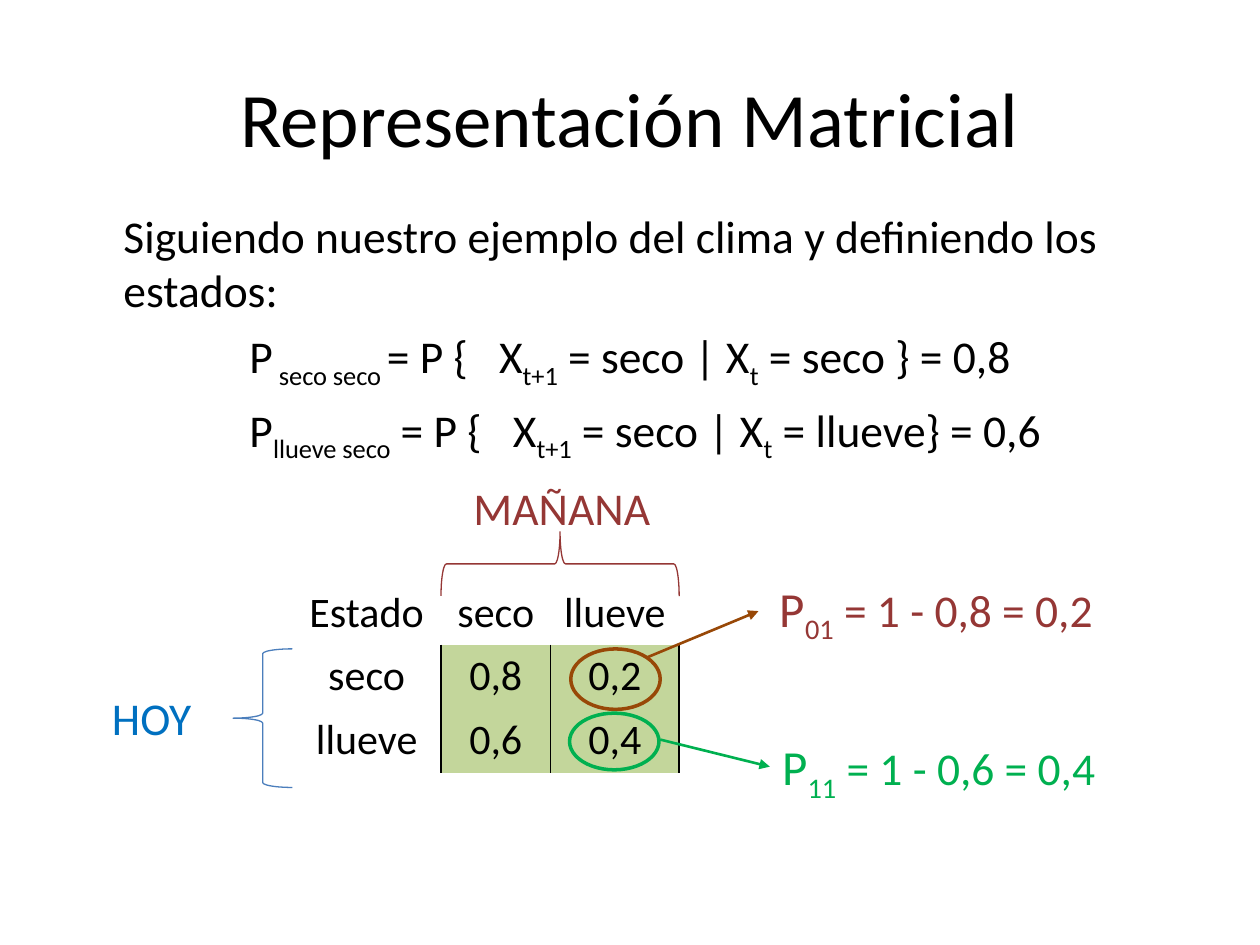
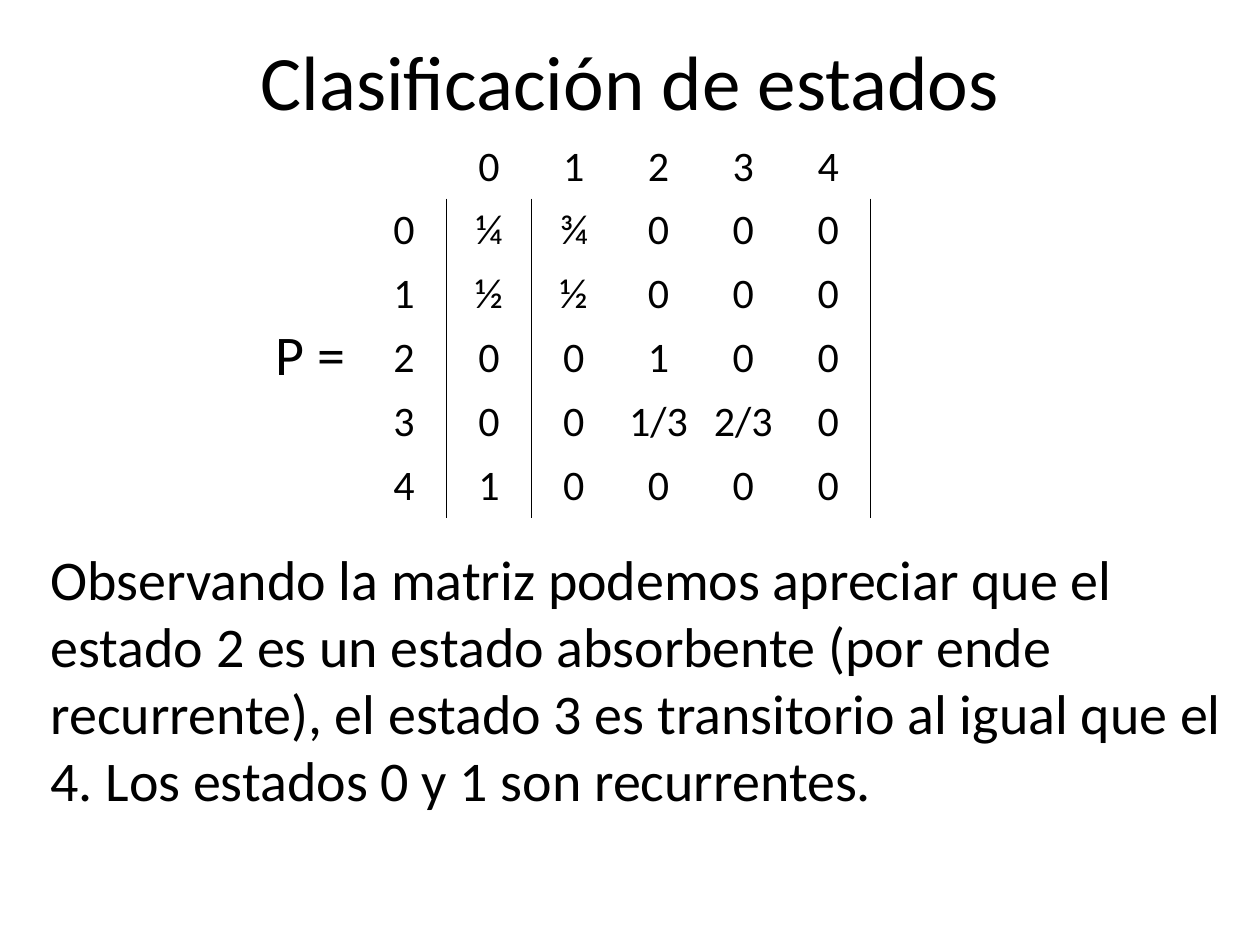
from dataclasses import dataclass

from lxml import etree
from pptx import Presentation
from pptx.dml.color import RGBColor
from pptx.enum.shapes import MSO_CONNECTOR, MSO_SHAPE
from pptx.enum.text import MSO_ANCHOR, MSO_AUTO_SIZE, PP_ALIGN
from pptx.oxml.ns import qn
from pptx.util import Pt

PX = 9144  # 100 px to the inch
STRAIGHT = MSO_CONNECTOR.STRAIGHT
ELLIPSE = MSO_SHAPE.OVAL
LEFT_BRACE = MSO_SHAPE.LEFT_BRACE
RIGHT_BRACE = MSO_SHAPE.RIGHT_BRACE
CENTER = PP_ALIGN.CENTER
MIDDLE = MSO_ANCHOR.MIDDLE
NO_AUTOFIT = MSO_AUTO_SIZE.NONE
LEFT_SIDE = 1
TITLE_AND_BODY = 1
PLAIN_TABLE = "{2D5ABB26-0587-4C30-8999-92F81FD0307C}"
WIDE_SPACE = " "  # a span of its own, widened by letter spacing


@dataclass(frozen=True)
class Theme:
    font: str = "Calibri"
    ink: str = "000000"
    today: str = "0070C0"
    today_brace: str = "4B7EBC"
    tomorrow: str = "953735"
    dry_to_rain: str = "984807"
    rain_to_rain: str = "00B050"
    matrix_fill: str = "C3D69B"
    title: int = 44
    large: int = 32
    symbol: int = 28
    text: int = 26
    cell: int = 24
    paragraph_gap: float = 6.4
    thin: float = 0.75
    border: float = 1
    arrow: float = 1.5
    ring: float = 2


THEME = Theme()


def px(*lengths):
    return [round(length * PX) for length in lengths]


def rgb(color):
    return RGBColor.from_string(color)


def style(span, size, color=THEME.ink):
    span.font.name = THEME.font
    span.font.size = Pt(size)
    span.font.color.rgb = rgb(color)


def write(para, spans, size, color=THEME.ink):
    """Add spans; each is a text or (text, size), and a leading "_" lowers it."""
    for item in spans:
        text, span_size = item if isinstance(item, tuple) else (item, size)
        span = para.add_run()
        span.text = text.removeprefix("_")
        style(span, span_size, color)
        if text.startswith("_"):
            span._r.get_or_add_rPr().set("baseline", "-25000")
        elif text == WIDE_SPACE:
            span._r.get_or_add_rPr().set("spc", "1180")


def place(shape, at):
    shape.left, shape.top, shape.width, shape.height = px(*at)


def add_page(deck, title, title_top, body_at):
    page = deck.slides.add_slide(deck.slide_layouts[TITLE_AND_BODY])
    heading, body = page.placeholders
    place(heading, (50, title_top, 900, 125))
    place(body, body_at)
    for box in (heading, body):
        frame = box.text_frame
        frame.auto_size = NO_AUTOFIT
        frame.word_wrap = True
        frame.margin_left = frame.margin_right = 10 * PX
        frame.margin_top = frame.margin_bottom = 10 * PX
    heading.text_frame.vertical_anchor = MIDDLE
    para = heading.text_frame.paragraphs[0]
    para.alignment = CENTER
    write(para, [title], THEME.title)
    return page, body.text_frame


def add_body_line(frame, spans, size, indent):
    first = not frame.text
    para = frame.paragraphs[0] if first else frame.add_paragraph()
    para.space_before = Pt(0 if first else THEME.paragraph_gap)
    props = para._p.get_or_add_pPr()
    props.set("marL", str(indent * PX))
    props.set("indent", "0")
    etree.SubElement(props, qn("a:buNone"))
    write(para, spans, size)


def add_label(page, at, spans, size, color=THEME.ink):
    box = page.shapes.add_textbox(*px(*at))
    box.text_frame.word_wrap = True
    write(box.text_frame.paragraphs[0], spans, size, color)
    return box


def add_outline(page, kind, at, color, width, rotation=0):
    shape = page.shapes.add_shape(kind, *px(*at))
    shape.shadow.inherit = False
    shape.fill.background()
    shape.line.color.rgb = rgb(color)
    shape.line.width = Pt(width)
    shape.rotation = rotation


def add_arrow(page, start, end, color, target=None):
    arrow = page.shapes.add_connector(STRAIGHT, *px(*start, *end))
    if target is not None:
        arrow.end_connect(target, LEFT_SIDE)
    arrow.line.color.rgb = rgb(color)
    arrow.line.width = Pt(THEME.arrow)
    etree.SubElement(arrow.line._get_or_add_ln(), qn("a:tailEnd"), type="triangle")
    etree.SubElement(arrow._element.spPr, qn("a:effectLst"))


def rule_right(cell):
    props = cell._tc.get_or_add_tcPr()
    line = etree.Element(qn("a:lnR"), w=str(Pt(THEME.border)))
    fill = etree.SubElement(line, qn("a:solidFill"))
    etree.SubElement(fill, qn("a:srgbClr"), val=THEME.ink)
    props.insert(0, line)


def add_matrix(page, left, top, columns, rows, fill=None):
    """Add a table whose first row and column are labels around ruled values."""
    row_height = 50
    size = px(left, top, sum(columns), row_height * len(rows))
    table = page.shapes.add_table(len(rows), len(columns), *size).table
    table.first_row = table.horz_banding = False
    table._tbl.tblPr.find(qn("a:tableStyleId")).text = PLAIN_TABLE
    for column, width in zip(table.columns, px(*columns)):
        column.width = width
    ruled = {0, 1, len(columns) - 1}
    for r, row in enumerate(rows):
        table.rows[r].height = row_height * PX
        for c, text in enumerate(row):
            cell = table.cell(r, c)
            if fill and r and c:
                cell.fill.solid()
                cell.fill.fore_color.rgb = rgb(fill)
            else:
                cell.fill.background()
            if r and c in ruled:
                rule_right(cell)
            para = cell.text_frame.paragraphs[0]
            para.alignment = CENTER
            if text:
                write(para, [text], THEME.cell)


def build_weather_page(deck):
    page, body = add_page(deck, "Representación Matricial", 30, (50, 155, 900, 236))
    add_body_line(
        body,
        ["Siguiendo nuestro ejemplo del clima y definiendo los estados:"],
        THEME.text,
        indent=38,
    )
    formulas = (
        ("_ seco seco ", "= P {", " = seco } = 0,8"),
        ("_llueve seco", " = P {", " = llueve} = 0,6"),
    )
    for states, opening, ending in formulas:
        spans = ["P", states, opening, WIDE_SPACE, "X", "_t+1", " = seco | X", "_t", ending]
        add_body_line(body, spans, THEME.text, indent=138)

    weather = (
        ("Estado", "seco", "llueve"),
        ("seco", "0,8", "0,2"),
        ("llueve", "0,6", "0,4"),
    )
    add_matrix(page, 232, 461, (118, 87, 102), weather, THEME.matrix_fill)

    add_outline(page, LEFT_BRACE, (185, 515, 47, 110), THEME.today_brace, THEME.thin)
    add_label(page, (79, 543, 106, 54), ["HOY"], THEME.text, THEME.today)
    add_outline(
        page, RIGHT_BRACE, (419, 353, 51, 189), THEME.tomorrow, THEME.thin, rotation=270
    )
    add_label(page, (366, 376, 186, 54), ["MAÑANA"], THEME.text, THEME.tomorrow)

    add_outline(page, ELLIPSE, (453, 515, 71, 48), THEME.dry_to_rain, THEME.ring)
    add_arrow(page, (513, 522), (602, 485), THEME.dry_to_rain)
    add_outline(page, ELLIPSE, (452, 566, 71, 45), THEME.rain_to_rain, THEME.ring)
    complements = (
        ((609, 454, 275, 57), "_01", " = 1 - 0,8 = 0,2", THEME.tomorrow),
        ((611, 580, 275, 57), "_11", " = 1 - 0,6 = 0,4", THEME.rain_to_rain),
    )
    for at, index, result, color in complements:
        spans = ["P", index, (result, THEME.text)]
        label = add_label(page, at, spans, THEME.symbol, color)
    add_arrow(page, (524, 587), (611, 609), THEME.rain_to_rain, target=label)


def build_states_page(deck):
    page, body = add_page(deck, "Clasificación de estados", 1, (20, 422, 961, 276))
    add_body_line(
        body,
        [
            "Observando la matriz podemos apreciar que el estado 2 es un estado "
            "absorbente (por ende recurrente), el estado 3 es transitorio al igual "
            "que el 4. Los estados 0 y 1 son recurrentes."
        ],
        THEME.large,
        indent=10,
    )
    transitions = (
        ("", "0", "1", "2", "3", "4"),
        ("0", "¼", "¾", "0", "0", "0"),
        ("1", "½", "½", "0", "0", "0"),
        ("2", "0", "0", "1", "0", "0"),
        ("3", "0", "0", "1/3", "2/3", "0"),
        ("4", "1", "0", "0", "0", "0"),
    )
    count = len(transitions)
    add_matrix(page, 287, 107, [404 / count] * count, transitions)
    add_label(page, (209, 249, 86, 64), ["P ="], THEME.large)


def main():
    deck = Presentation()
    deck.slide_width, deck.slide_height = px(1000, 750)
    build_weather_page(deck)
    build_states_page(deck)
    deck.save("out.pptx")


if __name__ == "__main__":
    main()
